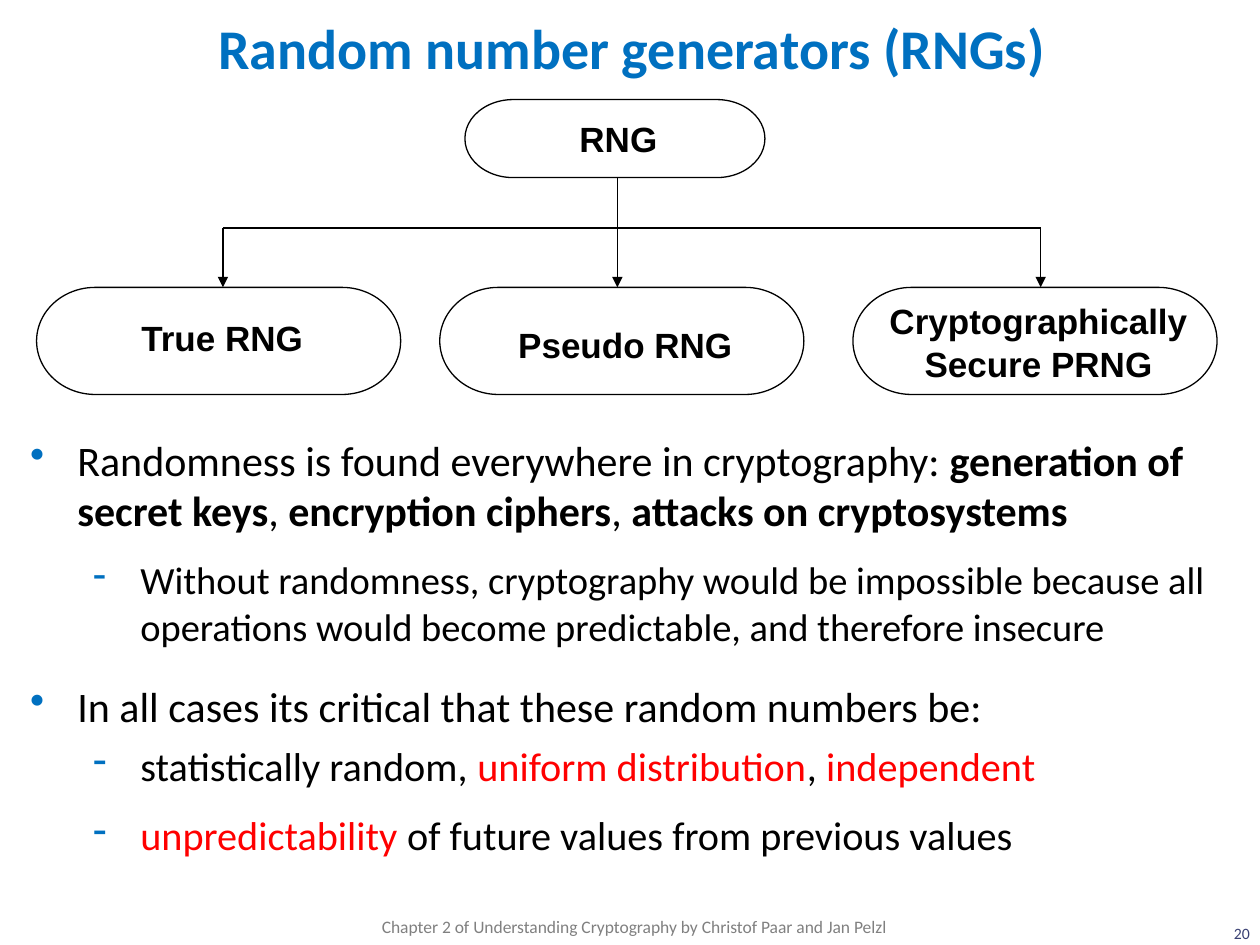
from dataclasses import dataclass

from lxml.etree import SubElement
from pptx import Presentation
from pptx.dml.color import RGBColor
from pptx.enum.shapes import MSO_CONNECTOR, MSO_SHAPE
from pptx.enum.text import PP_ALIGN
from pptx.oxml.ns import qn
from pptx.util import Pt


@dataclass(frozen=True)
class Theme:
    blue: str = "0070C0"
    black: str = "000000"
    red: str = "FF0000"
    gray: str = "808080"
    navy: str = "394073"
    body_font: str = "Calibri"
    label_font: str = "Arial"
    title_size: int = 32
    label_size: int = 20
    point_size: int = 24
    detail_size: int = 22
    property_size: int = 23
    footer_size: int = 10
    number_size: int = 9


theme = Theme()


def style_font(font, size, color, bold=False, name=theme.body_font):
    font.name = name
    font.size = Pt(size)
    font.bold = bold
    font.color.rgb = RGBColor.from_string(color)


def add_text_box(box, text, alignment, size, color, bold=False, name=theme.body_font):
    frame = slide.shapes.add_textbox(*map(Pt, box)).text_frame
    frame.word_wrap = True
    frame.margin_left = frame.margin_top = frame.margin_right = frame.margin_bottom = 0
    frame.text = text
    paragraph = frame.paragraphs[0]
    paragraph.alignment = alignment
    style_font(paragraph.runs[0].font, size, color, bold, name)
    return paragraph


presentation = Presentation()
presentation.slide_width, presentation.slide_height = Pt(720), Pt(540)
slide = presentation.slides.add_slide(presentation.slide_layouts[6])

add_text_box((23.8, 7.9, 674.6, 40.3), "Random number generators (RNGs)",
             PP_ALIGN.CENTER, theme.title_size, theme.blue, True)

child_top, child_width, child_height = 164.2, 208.1, 61.2
nodes = [
    ("RNG", 265.7, 56.9, 171.4, 44.6, 67),
    ("True RNG", 20.9, child_top, child_width, child_height, 180.7),
    ("Pseudo RNG", 251.3, child_top, child_width, child_height, 185),
    ("Cryptographically Secure PRNG", 487.4, child_top, child_width, child_height, 171.4),
]
for label, left, top, width, height, label_top in nodes:
    terminator = slide.shapes.add_shape(
        MSO_SHAPE.FLOWCHART_TERMINATOR, Pt(left), Pt(top), Pt(width), Pt(height))
    terminator.shadow.inherit = False
    terminator.fill.background()
    terminator.line.color.rgb = RGBColor.from_string(theme.black)
    terminator.line.width = Pt(0.75)
    label_height = 2 * (top + height / 2 - label_top) if " Secure" in label else 24.5
    add_text_box((left + 6, label_top, width - 8, label_height), label,
                 PP_ALIGN.CENTER, theme.label_size, theme.black, True, theme.label_font)

trunk_x, left_x, right_x, branch_y = 352.8, 127.4, 594.7, 130.3
branches = [
    (trunk_x, 102, trunk_x, branch_y, False),
    (left_x, branch_y, right_x, branch_y, False),
]
branches += [(x, branch_y, x, child_top, True) for x in (left_x, trunk_x, right_x)]
for start_x, start_y, end_x, end_y, has_arrow in branches:
    connector = slide.shapes.add_connector(
        MSO_CONNECTOR.STRAIGHT, Pt(start_x), Pt(start_y), Pt(end_x), Pt(end_y))
    connector.line.color.rgb = RGBColor.from_string(theme.black)
    connector.line.width = Pt(0.75)
    if has_arrow:
        SubElement(connector.line._get_or_add_ln(), qn("a:tailEnd"), type="triangle")
    SubElement(connector._element.spPr, qn("a:effectLst"))

black, bold, red = (theme.black, False), (theme.black, True), (theme.red, False)
points = [
    (0, theme.point_size, 0, 12, [
        ("Randomness is found everywhere in cryptography: ", black),
        ("generation of secret keys", bold), (", ", black),
        ("encryption ciphers", bold), (", ", black),
        ("attacks on cryptosystems", bold)]),
    (1, theme.detail_size, 0, 12, [
        ("Without randomness, cryptography would be impossible because all "
         "operations would become predictable, and therefore insecure", black)]),
    (0, theme.point_size, 6, 6, [
        ("In all cases its critical that these random numbers be:", black)]),
    (1, theme.property_size, 0, 12, [
        ("statistically random, ", black), ("uniform distribution", red),
        (", ", black), ("independent", red)]),
    (1, theme.property_size, 0, 12, [
        ("unpredictability", red), (" of future values from previous values", black)]),
]
body = slide.shapes.add_textbox(Pt(10.1), Pt(244.8), Pt(702), Pt(293)).text_frame
body.word_wrap = True
for index, (level, size, before, after, runs) in enumerate(points):
    paragraph = body.add_paragraph() if index else body.paragraphs[0]
    paragraph.level = level
    paragraph.space_before, paragraph.space_after = Pt(before), Pt(after)
    properties = paragraph._p.get_or_add_pPr()
    properties.set("marL", str(Pt(27 + 36 * level)))
    properties.set("indent", str(-Pt(27)))
    bullet_color = SubElement(properties, qn("a:buClr"))
    SubElement(bullet_color, qn("a:srgbClr"), val=theme.blue)
    SubElement(properties, qn("a:buChar"), char="•-"[level])
    for text, (color, is_bold) in runs:
        run = paragraph.add_run()
        run.text = text
        style_font(run.font, size, color, is_bold)

footer = add_text_box(
    (218.2, 521.3, 340.6, 12.2),
    "Chapter 2 of Understanding Cryptography by Christof Paar and Jan Pelzl",
    PP_ALIGN.LEFT, theme.footer_size, theme.gray)
footer.line_spacing = 1.2
add_text_box((680.4, 527.8, 33.8, 12.2), "20", PP_ALIGN.RIGHT, theme.number_size, theme.navy)

presentation.save("out.pptx")
